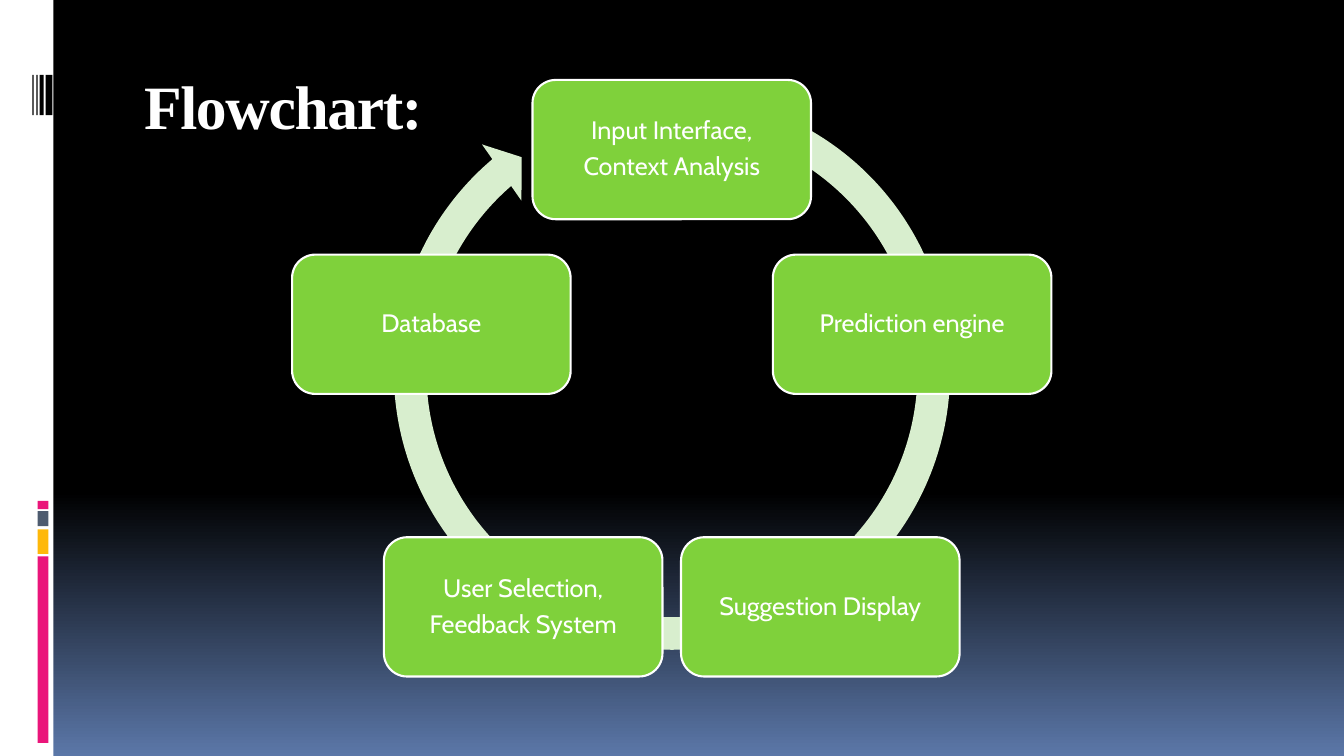
import copy
import math

from pptx import Presentation
from pptx.dml.color import RGBColor
from pptx.enum.shapes import MSO_SHAPE
from pptx.enum.text import MSO_ANCHOR, PP_ALIGN
from pptx.oxml.ns import qn
from pptx.util import Cm, Pt

RECT = MSO_SHAPE.RECTANGLE
ROUND_RECT = MSO_SHAPE.ROUNDED_RECTANGLE
CIRCULAR_ARROW = MSO_SHAPE.CIRCULAR_ARROW
CENTER = PP_ALIGN.CENTER
MIDDLE = MSO_ANCHOR.MIDDLE

WHITE = RGBColor(0xFF, 0xFF, 0xFF)
BLACK = RGBColor(0x00, 0x00, 0x00)
BLUE = RGBColor(0x5B, 0x77, 0xA8)
PINK = RGBColor(0xEA, 0x15, 0x7A)
AMBER = RGBColor(0xFE, 0xB8, 0x0A)
SLATE = RGBColor(0x4E, 0x5B, 0x6F)
GREEN = RGBColor(0x7F, 0xD1, 0x3B)
PALE_GREEN = RGBColor(0xD8, 0xEE, 0xCE)


def add_filled(kind, left, top, width, height, color):
    """Add a borderless, shadowless shape; lengths in centimetres."""
    sp = s.shapes.add_shape(kind, Cm(left), Cm(top), Cm(width), Cm(height))
    sp.shadow.inherit = False
    sp.fill.solid()
    sp.fill.fore_color.rgb = color
    sp.line.fill.background()
    return sp


def add_run(p, text, font, size):
    r = p.add_run()
    r.text = text
    r.font.name = font
    r.font.size = Pt(size)
    r.font.color.rgb = WHITE
    return r


prs = Presentation()
prs.slide_width = Cm(33.87)
prs.slide_height = Cm(19.05)
s = prs.slides.add_slide(prs.slide_layouts[6])

# Background: black down to 65 %, then fading to blue
fill = s.background.fill
fill.gradient()
fill.gradient_angle = 270
gs_list = s.background._cSld.find(".//" + qn("a:gsLst"))
gs_list.insert(0, copy.deepcopy(gs_list[0]))
stops = [(0, BLACK), (0.65, BLACK), (1, BLUE)]
for stop, (position, color) in zip(fill.gradient_stops, stops):
    stop.position = position
    stop.color.rgb = color

# Side band with coloured blocks and bars
add_filled(RECT, 0, 0, 1.35, 19.05, WHITE)
for top, height, color in [(14.02, 4.7, PINK), (13.34, 0.62, AMBER),
                           (12.88, 0.38, SLATE), (12.62, 0.21, PINK)]:
    add_filled(RECT, 0.95, top, 0.27, height, color)
for left, width in [(1.15, 0.17), (1.0, 0.1), (0.92, 0.03), (0.82, 0.03)]:
    add_filled(RECT, left, 1.89, width, 1.01, BLACK)

# Title
title = s.shapes.add_textbox(Cm(3.38), Cm(1.42), Cm(28.78), Cm(2.54))
tf = title.text_frame
tf.word_wrap = True
tf.margin_top = Cm(0.29)
r = add_run(tf.paragraphs[0], "Flowchart:", "Times New Roman", 44)
r.font.bold = True
r.font._element.set("spc", "-100")

# Ring arrow behind the steps
ring = add_filled(CIRCULAR_ARROW, 9.47, 1.9, 14.93, 14.93, PALE_GREEN)
for i, value in enumerate([0.055, 3.307, 137.676, 173.91, 0.058]):
    ring.adjustments[i] = value

# Steps, clockwise from the top
steps = [
    ["Input Interface,", "Context Analysis"],
    ["Prediction engine"],
    ["Suggestion Display"],
    ["User Selection,", "Feedback System"],
    ["Database"],
]
CENTER_X, CENTER_Y, RADIUS = 16.93, 10.14, 6.37
STEP_W, STEP_H = 7.02, 3.51
for i, lines in enumerate(steps):
    angle = 2 * math.pi * i / len(steps)
    x = CENTER_X + RADIUS * math.sin(angle)
    y = CENTER_Y - RADIUS * math.cos(angle)
    sp = add_filled(ROUND_RECT, x - STEP_W / 2, y - STEP_H / 2,
                    STEP_W, STEP_H, GREEN)
    sp.line.color.rgb = WHITE
    sp.line.width = Pt(1.5)
    tf = sp.text_frame
    tf.word_wrap = True
    tf.vertical_anchor = MIDDLE
    tf.margin_left = tf.margin_right = Cm(0.18)
    tf.margin_top = tf.margin_bottom = Cm(0.18)
    for j, line in enumerate(lines):
        p = tf.add_paragraph() if j else tf.paragraphs[0]
        p.alignment = CENTER
        p.line_spacing = 0.9
        p.space_after = Pt(6.3)
        add_run(p, line, "Cabin", 18)

prs.save("out.pptx")
